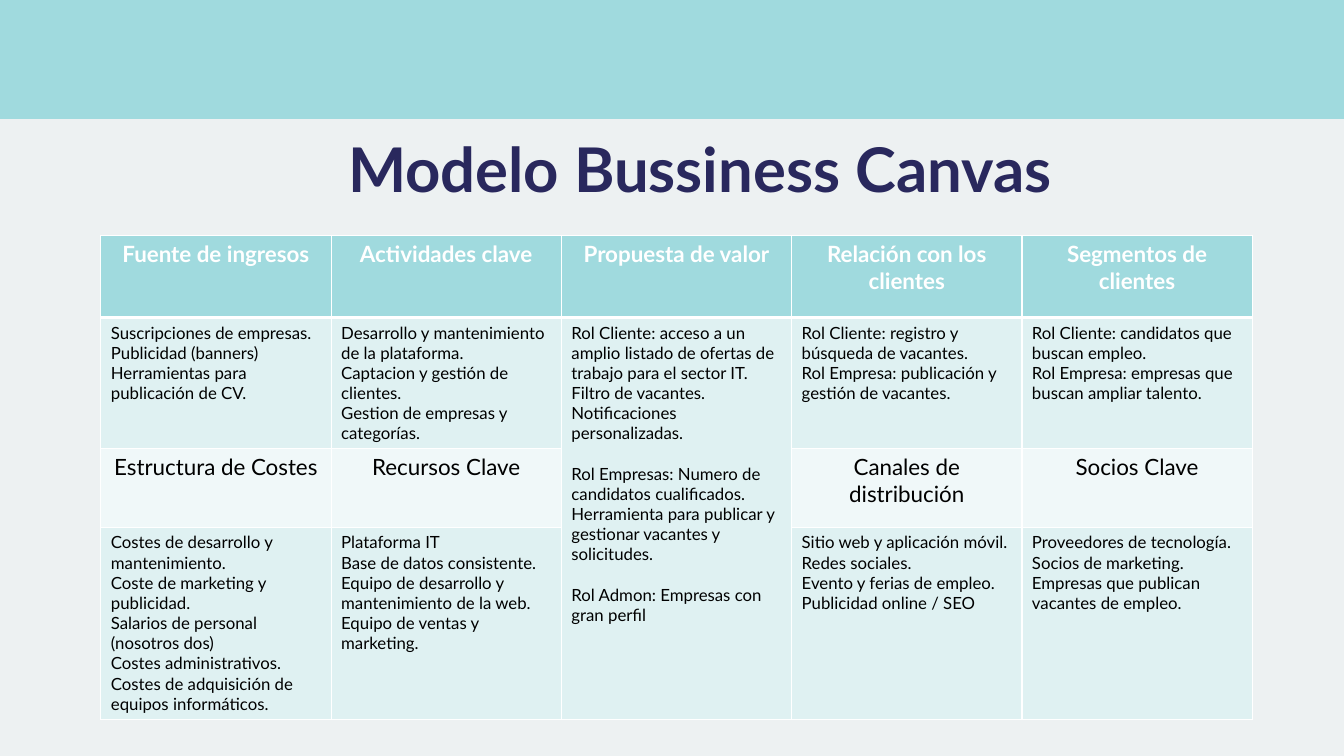
from dataclasses import dataclass

from lxml import etree
from pptx import Presentation
from pptx.dml.color import RGBColor
from pptx.enum import shapes, text
from pptx.oxml import ns
from pptx.util import Inches, Pt

FONT = "Lato"
TEAL, PALE, PALEST = "A0DADE", "DFF1F2", "F0F8F9"
WHITE, BLACK, NAVY, BACKGROUND = "FFFFFF", "000000", "29285D", "EDF1F2"
COLUMN_WIDTH = 11.42 / 5
ROW_HEIGHTS = (0.81, 1.29, 0.78, 1.91)
VALUE_COLUMN = 2


@dataclass(frozen=True)
class CellStyle:
    fill: str
    color: str
    size: int
    bold: bool
    align: text.PP_ALIGN


HEADER = CellStyle(TEAL, WHITE, 16, True, text.PP_ALIGN.CENTER)
SUBHEADER = CellStyle(PALEST, BLACK, 16, False, text.PP_ALIGN.CENTER)
BODY = CellStyle(PALE, BLACK, 12, False, text.PP_ALIGN.LEFT)


@dataclass(frozen=True)
class Block:
    """One column of the canvas: an upper and a lower section."""
    heading: str
    lines: tuple[str, ...]
    lower_heading: str = ""
    lower_lines: tuple[str, ...] = ()


BLOCKS = (
    Block("Fuente de ingresos",
          ("Suscripciones de empresas.", "Publicidad (banners)",
           "Herramientas para publicación de CV."),
          "Estructura de Costes",
          ("Costes de desarrollo y mantenimiento.", "Coste de marketing y publicidad.",
           "Salarios de personal (nosotros dos)", "Costes administrativos.",
           "Costes de adquisición de equipos informáticos.")),
    Block("Actividades clave",
          ("Desarrollo y mantenimiento de la plataforma.",
           "Captacion y gestión de clientes.", "Gestion de empresas y categorías."),
          "Recursos Clave",
          ("Plataforma IT", "Base de datos consistente.",
           "Equipo de desarrollo y mantenimiento de la web.",
           "Equipo de ventas y marketing.")),
    Block("Propuesta de valor",
          ("Rol Cliente: acceso a un amplio listado de ofertas de trabajo para el "
           "sector IT. Filtro de vacantes.", "Notificaciones personalizadas.",
           "Rol Empresas: Numero de candidatos cualificados. Herramienta para "
           "publicar y gestionar vacantes y solicitudes.",
           "Rol Admon: Empresas con gran perfil")),
    Block("Relación con los clientes",
          ("Rol Cliente: registro y búsqueda de vacantes.",
           "Rol Empresa: publicación y gestión de vacantes."),
          "Canales de distribución",
          ("Sitio web y aplicación móvil.", "Redes sociales.",
           "Evento y ferias de empleo.", "Publicidad online / SEO")),
    Block("Segmentos de clientes",
          ("Rol Cliente: candidatos que buscan empleo.",
           "Rol Empresa: empresas que buscan ampliar talento."),
          "Socios Clave",
          ("Proveedores de tecnología.", "Socios de marketing.",
           "Empresas que publican vacantes de empleo.")),
)


def rgb(color: str) -> RGBColor:
    return RGBColor.from_string(color)


def format_para(para, size: int, color: str, bold: bool, align) -> None:
    para.alignment = align
    for span in para.runs:
        span.font.name = FONT
        span.font.size = Pt(size)
        span.font.bold = bold
        span.font.color.rgb = rgb(color)


def set_borders(cell, top: int, bottom: int) -> None:
    properties = cell._tc.get_or_add_tcPr()
    for side, points in (("L", 1), ("R", 1), ("T", top), ("B", bottom)):
        line = etree.SubElement(properties, ns.qn(f"a:ln{side}"), w=str(Pt(points)))
        fill = etree.SubElement(line, ns.qn("a:solidFill"))
        etree.SubElement(fill, ns.qn("a:srgbClr"), val=WHITE)


def style_cell(cell, row: int, style: CellStyle) -> None:
    set_borders(cell, top=3 if row == 1 else 1, bottom=3 if row == 0 else 1)
    cell.fill.solid()
    cell.fill.fore_color.rgb = rgb(style.fill)


def write_cell(cell, lines: tuple[str, ...], style: CellStyle) -> None:
    cell.text_frame.text = "\n".join(lines)
    for para in cell.text_frame.paragraphs:
        format_para(para, style.size, style.color, style.bold, style.align)


def add_band(page) -> None:
    band = page.shapes.add_shape(
        shapes.MSO_SHAPE.RECTANGLE, 0, 0, Inches(13.33), Inches(1.18))
    band.shadow.inherit = False
    band.fill.solid()
    band.fill.fore_color.rgb = rgb(TEAL)
    band.line.fill.background()
    # Keep the band behind the title
    page.shapes._spTree.insert(2, band._element)


def add_title(page) -> None:
    title = page.shapes.title
    title.left, title.top = Inches(2.79), Inches(0.66)
    title.width, title.height = Inches(8.31), Inches(1.43)
    frame = title.text_frame
    frame.text = "Modelo Bussiness Canvas"
    frame.word_wrap = True
    frame.auto_size = text.MSO_AUTO_SIZE.NONE
    frame.vertical_anchor = text.MSO_ANCHOR.BOTTOM
    para = frame.paragraphs[0]
    para.line_spacing = 0.9
    format_para(para, 44, NAVY, True, text.PP_ALIGN.CENTER)


def add_canvas(page) -> None:
    table = page.shapes.add_table(
        len(ROW_HEIGHTS), len(BLOCKS), Inches(1), Inches(2.34),
        Inches(COLUMN_WIDTH * len(BLOCKS)), Inches(sum(ROW_HEIGHTS))).table
    table.first_row = table.horz_banding = False
    for column in table.columns:
        column.width = Inches(COLUMN_WIDTH)
    for row, height in zip(table.rows, ROW_HEIGHTS):
        row.height = Inches(height)

    # The value proposition spans everything below its heading
    value = table.cell(1, VALUE_COLUMN)
    value.merge(table.cell(3, VALUE_COLUMN))

    for column, block in enumerate(BLOCKS):
        sections = ((block.heading,), block.lines,
                    (block.lower_heading,), block.lower_lines)
        styles = (HEADER, BODY, SUBHEADER, BODY)
        for row, (lines, style) in enumerate(zip(sections, styles)):
            cell = table.cell(row, column)
            style_cell(cell, row, BODY if cell.is_spanned else style)
            if not cell.is_spanned:
                write_cell(cell, lines, style)

    # A line of space separates the roles
    for para in value.text_frame.paragraphs[1:]:
        if para.text.startswith("Rol"):
            para.space_before = Pt(14.4)


def main() -> None:
    deck = Presentation()
    deck.slide_width, deck.slide_height = Inches(13.33), Inches(7.5)
    page = deck.slides.add_slide(deck.slide_layouts[5])
    page.background.fill.solid()
    page.background.fill.fore_color.rgb = rgb(BACKGROUND)
    add_band(page)
    add_title(page)
    add_canvas(page)
    deck.save("out.pptx")


if __name__ == "__main__":
    main()
